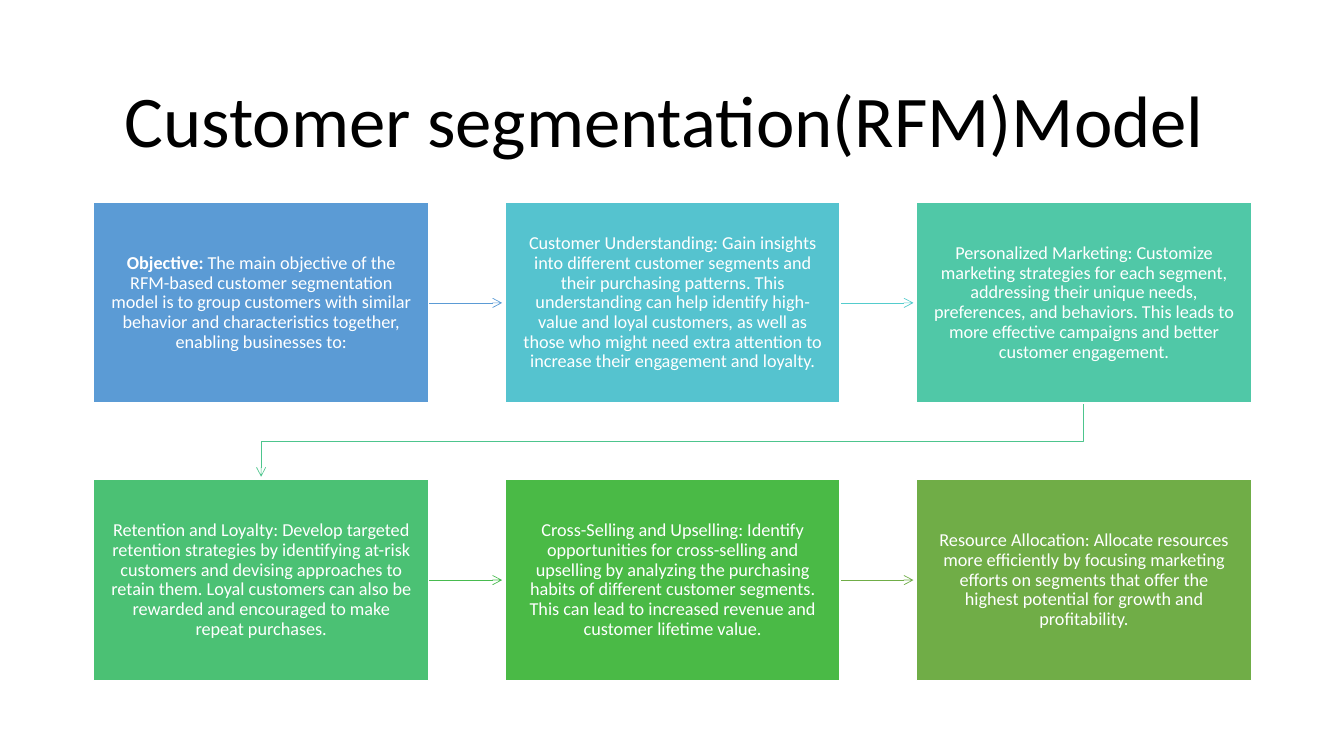
from pptx import Presentation
from pptx.dml.color import RGBColor
from pptx.enum.shapes import MSO_CONNECTOR, MSO_SHAPE
from pptx.enum.text import MSO_ANCHOR, PP_ALIGN
from pptx.oxml.ns import qn
from pptx.util import Inches, Pt
from lxml import etree

RECTANGLE = MSO_SHAPE.RECTANGLE
STRAIGHT = MSO_CONNECTOR.STRAIGHT
MIDDLE = MSO_ANCHOR.MIDDLE
CENTER = PP_ALIGN.CENTER

FONT = "Calibri"
BLACK = RGBColor(0x00, 0x00, 0x00)
WHITE = RGBColor(0xFF, 0xFF, 0xFF)
BLUE = RGBColor(0x5B, 0x9B, 0xD5)
SKY = RGBColor(0x55, 0xC3, 0xCF)
AQUA = RGBColor(0x54, 0xCC, 0xCD)
TEAL = RGBColor(0x50, 0xC8, 0xA7)
MINT = RGBColor(0x4D, 0xC5, 0x8D)
EMERALD = RGBColor(0x4B, 0xC1, 0x74)
LEAF = RGBColor(0x48, 0xBB, 0x4F)
GREEN = RGBColor(0x4A, 0xBA, 0x46)
OLIVE = RGBColor(0x70, 0xAD, 0x47)

COLUMNS = 3
GRID_LEFT, GRID_TOP = 0.93, 2.01
COLUMN_STEP, ROW_STEP = 4.08, 2.75
CARD_WIDTH, CARD_HEIGHT = 3.32, 1.99
ARROW_LENGTH = 0.73

CARDS = [
    (BLUE, "Objective: ",
     "The main objective of the RFM-based customer segmentation model is to group "
     "customers with similar behavior and characteristics together, enabling businesses to:"),
    (SKY, "",
     "Customer Understanding: Gain insights into different customer segments and their "
     "purchasing patterns. This understanding can help identify high-value and loyal "
     "customers, as well as those who might need extra attention to increase their "
     "engagement and loyalty."),
    (TEAL, "",
     "Personalized Marketing: Customize marketing strategies for each segment, addressing "
     "their unique needs, preferences, and behaviors. This leads to more effective "
     "campaigns and better customer engagement."),
    (EMERALD, "",
     "Retention and Loyalty: Develop targeted retention strategies by identifying at-risk "
     "customers and devising approaches to retain them. Loyal customers can also be "
     "rewarded and encouraged to make repeat purchases."),
    (GREEN, "",
     "Cross-Selling and Upselling: Identify opportunities for cross-selling and upselling "
     "by analyzing the purchasing habits of different customer segments. This can lead to "
     "increased revenue and customer lifetime value."),
    (OLIVE, "",
     "Resource Allocation: Allocate resources more efficiently by focusing marketing "
     "efforts on segments that offer the highest potential for growth and profitability."),
]
ARROW_COLORS = [BLUE, AQUA, MINT, LEAF, OLIVE]


def card_corner(index):
    """Return the left and top of a card in the grid."""
    row, column = divmod(index, COLUMNS)
    return GRID_LEFT + column * COLUMN_STEP, GRID_TOP + row * ROW_STEP


def write_text(text_frame, runs, size, color):
    """Fill a frame with one centred paragraph of (text, bold) runs."""
    text_frame.word_wrap = True
    text_frame.vertical_anchor = MIDDLE
    paragraph = text_frame.paragraphs[0]
    paragraph.alignment = CENTER
    paragraph.line_spacing = 0.9
    for text, bold in runs:
        run = paragraph.add_run()
        run.text = text
        run.font.name = FONT
        run.font.size = Pt(size)
        run.font.bold = bold
        run.font.color.rgb = color


def add_title(slide, text):
    """Add the slide heading."""
    box = slide.shapes.add_textbox(Inches(0.92), Inches(0.61), Inches(11.5), Inches(1.24))
    write_text(box.text_frame, [(text, False)], 52, BLACK)


def add_card(slide, index, color, lead, body):
    """Add one coloured card with an optional bold lead."""
    left, top = card_corner(index)
    card = slide.shapes.add_shape(RECTANGLE, Inches(left), Inches(top),
                                  Inches(CARD_WIDTH), Inches(CARD_HEIGHT))
    card.shadow.inherit = False
    card.fill.solid()
    card.fill.fore_color.rgb = color
    card.line.color.rgb = WHITE
    card.line.width = Pt(1)
    frame = card.text_frame
    frame.margin_left = frame.margin_right = Inches(0.16)
    frame.margin_top = frame.margin_bottom = Inches(0.17)
    runs = [(lead, True)] if lead else []
    write_text(frame, runs + [(body, False)], 13, WHITE)


def style_arrow(shape, color):
    """Give a line its colour, width and open arrowhead, without a shadow."""
    shape.line.color.rgb = color
    shape.line.width = Pt(0.5)
    properties = shape.element.spPr
    etree.SubElement(properties.find(qn("a:ln")), qn("a:tailEnd"), type="arrow")
    etree.SubElement(properties, qn("a:effectLst"))


def add_side_arrow(slide, index, color):
    """Point from a card to the next one in its row."""
    left, top = card_corner(index)
    start, middle = left + CARD_WIDTH, top + CARD_HEIGHT / 2
    arrow = slide.shapes.add_connector(STRAIGHT, Inches(start), Inches(middle),
                                       Inches(start + ARROW_LENGTH), Inches(middle))
    style_arrow(arrow, color)


def add_return_arrow(slide, index, color):
    """Lead from the last card of a row to the first card of the next."""
    left, top = card_corner(index)
    next_left, next_top = card_corner(index + 1)
    start_x, end_x = left + CARD_WIDTH / 2, next_left + CARD_WIDTH / 2
    start_y = top + CARD_HEIGHT
    turn_y = (start_y + next_top) / 2
    points = [(start_x, turn_y), (end_x, turn_y), (end_x, start_y + ARROW_LENGTH)]
    builder = slide.shapes.build_freeform(Inches(start_x), Inches(start_y))
    builder.add_line_segments([(Inches(x), Inches(y)) for x, y in points], close=False)
    arrow = builder.convert_to_shape()
    arrow.fill.background()
    style_arrow(arrow, color)


def main():
    """Build and save the slide."""
    presentation = Presentation()
    presentation.slide_width = Inches(13.33)
    presentation.slide_height = Inches(7.5)
    slide = presentation.slides.add_slide(presentation.slide_layouts[6])
    add_title(slide, "Customer segmentation(RFM)Model ")
    for index, color in enumerate(ARROW_COLORS):
        ends_row = index % COLUMNS == COLUMNS - 1
        add_arrow = add_return_arrow if ends_row else add_side_arrow
        add_arrow(slide, index, color)
    for index, (color, lead, body) in enumerate(CARDS):
        add_card(slide, index, color, lead, body)
    presentation.save("out.pptx")


if __name__ == "__main__":
    main()
